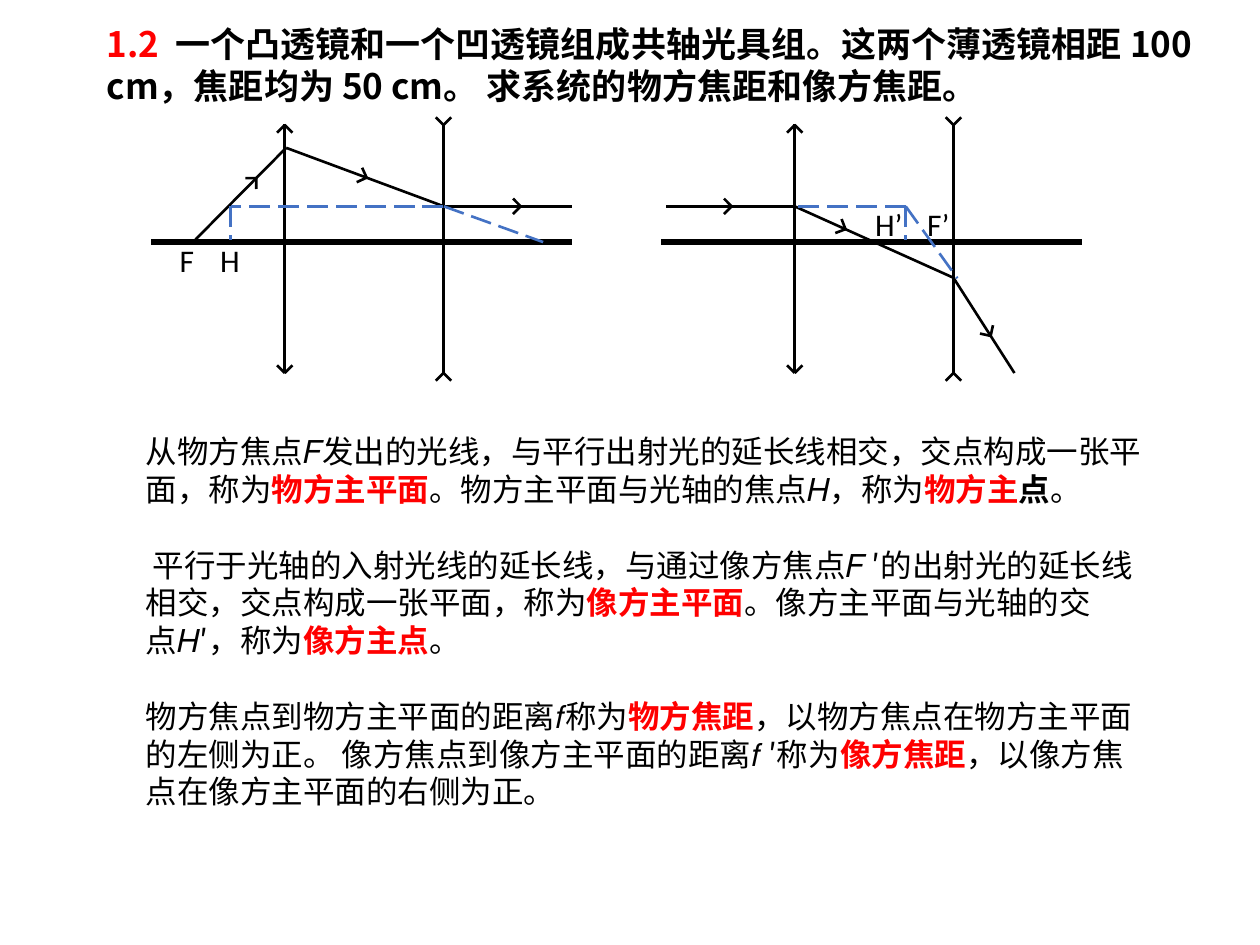
from math import atan2, cos, pi, sin

from lxml.etree import SubElement
from pptx import Presentation
from pptx.dml.color import RGBColor
from pptx.enum.dml import MSO_LINE_DASH_STYLE as Dash
from pptx.enum.shapes import MSO_CONNECTOR as Link
from pptx.enum.text import MSO_AUTO_SIZE as Fit
from pptx.oxml.ns import qn
from pptx.util import Cm, Pt

BLACK, RED, BLUE = "000000", "FF0000", "4472C4"
HAN, LATIN, LABEL = "Noto Sans CJK SC", "Arial", "Calibri"

# Run styles: font, colour, bold
PLAIN = (HAN, BLACK, False)
BOLD = (HAN, BLACK, True)
KEY = (HAN, RED, True)
STOP = (LATIN, BLACK, True)
TAG = (LABEL, BLACK, False)

TITLE = [[
    ("1.2  ", KEY),
    ("一个凸透镜和一个凹透镜组成共轴光具组。这两个薄透镜相距 100 cm，"
     "焦距均为 50 cm。 求系统的物方焦距和像方焦距", BOLD),
    ("。", STOP),
]]

BODY = [
    [("从物方焦点𝐹发出的光线，与平行出射光的延长线相交，"
      "交点构成一张平面，称为", PLAIN),
     ("物方主平面", KEY), ("。物方主平面与光轴的焦点𝐻，称为", PLAIN),
     ("物方主", KEY), ("点", BOLD), ("。", PLAIN)],
    [(" 平行于光轴的入射光线的延长线，与通过像方焦点𝐹 ′的出射光的延长线相交，"
      "交点构成一张平面，称为", PLAIN),
     ("像方主平面", KEY), ("。像方主平面与光轴的交点𝐻′，称为", PLAIN),
     ("像方主点", KEY), ("。", PLAIN)],
    [("物方焦点到物方主平面的距离𝑓称为", PLAIN), ("物方焦距", KEY),
     ("，以物方焦点在物方主平面的左侧为正。 "
      "像方焦点到像方主平面的距离𝑓 ′称为", PLAIN),
     ("像方焦距", KEY),
     ("，以像方焦点在像方主平面的右侧为正。", PLAIN)],
]

# Bench shared by both diagrams, in cm
LEFT, RIGHT, AXIS, RAY = 3.05, 11.53, 4.88, 4.16
CONVEX, CONCAVE, TOP, FOOT = 5.74, 8.94, 2.49, 7.52
FOOT_H = 4.83  # lower end of the principal plane marks
WING = 0.22

# dx: shift of the bench; marks: place of the arrow on each ray segment
DIAGRAMS = [
    {"dx": 0,
     "ray": [(3.94, FOOT_H), (5.77, 2.98), (8.95, RAY), (RIGHT, RAY)],
     "marks": [0.67, 0.51, 0.6],
     "dashed": [[(CONCAVE, RAY), (4.65, RAY)],
                [(8.95, RAY), (10.95, AXIS)],
                [(4.65, RAY), (4.65, FOOT_H)]],
     "labels": [("F", 3.37, 4.73), ("H", 4.19, 4.73)]},
    {"dx": 10.28,
     "ray": [(3.15, RAY), (CONVEX, RAY), (CONCAVE, 5.6), (10.17, FOOT)],
     "marks": [0.51, 0.32, 0.61],
     "dashed": [[(7.98, RAY), (CONVEX, RAY)],
                [(7.98, RAY), (9.02, 5.61)],
                [(7.98, RAY), (7.98, FOOT_H)]],
     "labels": [("H’", 7.11, 4.01), ("F’", 8.16, 4.01)]},
]


def rgb(code):
    return RGBColor.from_string(code)


def add_line(a, b, dx, color=BLACK, width=1.5, dash=None):
    line = slide.shapes.add_connector(
        Link.STRAIGHT, Cm(a[0] + dx), Cm(a[1]), Cm(b[0] + dx), Cm(b[1]))
    line.line.color.rgb = rgb(color)
    line.line.width = Pt(width)
    if dash:
        line.line.dash_style = dash
    SubElement(line.element.spPr, qn("a:effectLst"))


def add_head(tip, angle, dx):
    """Draw an open right-angled arrowhead pointing along angle."""
    for turn in (pi * 3 / 4, -pi * 3 / 4):
        end = (tip[0] + WING * cos(angle + turn),
               tip[1] + WING * sin(angle + turn))
        add_line(tip, end, dx)


def add_text(paras, x, y, w, h, size, pitch=None, gap=0):
    frame = slide.shapes.add_textbox(Cm(x), Cm(y), Cm(w), Cm(h)).text_frame
    frame.word_wrap = True
    frame.auto_size = Fit.SHAPE_TO_FIT_TEXT
    for i, runs in enumerate(paras):
        para = frame.add_paragraph() if i else frame.paragraphs[0]
        if pitch:
            para.line_spacing = Pt(pitch)
        if i:
            para.space_before = Pt(gap)
        for text, (face, color, bold) in runs:
            run = para.add_run()
            run.text = text
            font = run.font
            font.name, font.size, font.bold = face, Pt(size), bold
            font.color.rgb = rgb(color)
            SubElement(font._element, qn("a:ea")).set("typeface", HAN)


def add_bench(dx):
    """Draw the optical axis and the two lenses."""
    add_line((LEFT, AXIS), (RIGHT, AXIS), dx, width=3)
    for x, out in ((CONVEX, 1), (CONCAVE, -1)):
        add_line((x, TOP), (x, FOOT), dx)
        add_head((x, TOP + 0.03), -out * pi / 2, dx)
        add_head((x, FOOT), out * pi / 2, dx)


def add_diagram(dx, ray, marks, dashed, labels):
    add_bench(dx)
    for a, b, part in zip(ray, ray[1:], marks):
        add_line(a, b, dx)
        run, rise = b[0] - a[0], b[1] - a[1]
        add_head((a[0] + part * run, a[1] + part * rise),
                 atan2(rise, run), dx)
    for a, b in dashed:
        add_line(a, b, dx, BLUE, dash=Dash.LONG_DASH)
    for text, x, y in labels:
        add_text([[(text, TAG)]], x + dx, y, 3.56, 1.02, 18)


deck = Presentation()
deck.slide_width, deck.slide_height = Cm(25.4), Cm(19.05)
slide = deck.slides.add_slide(deck.slide_layouts[6])

add_text(TITLE, 1.9, 0.33, 22.89, 1.96, 20, pitch=24)
for diagram in DIAGRAMS:
    add_diagram(**diagram)
add_text(BODY, 2.69, 8.59, 20.65, 7.95, 18, pitch=21.6, gap=21.6)

deck.save("out.pptx")
